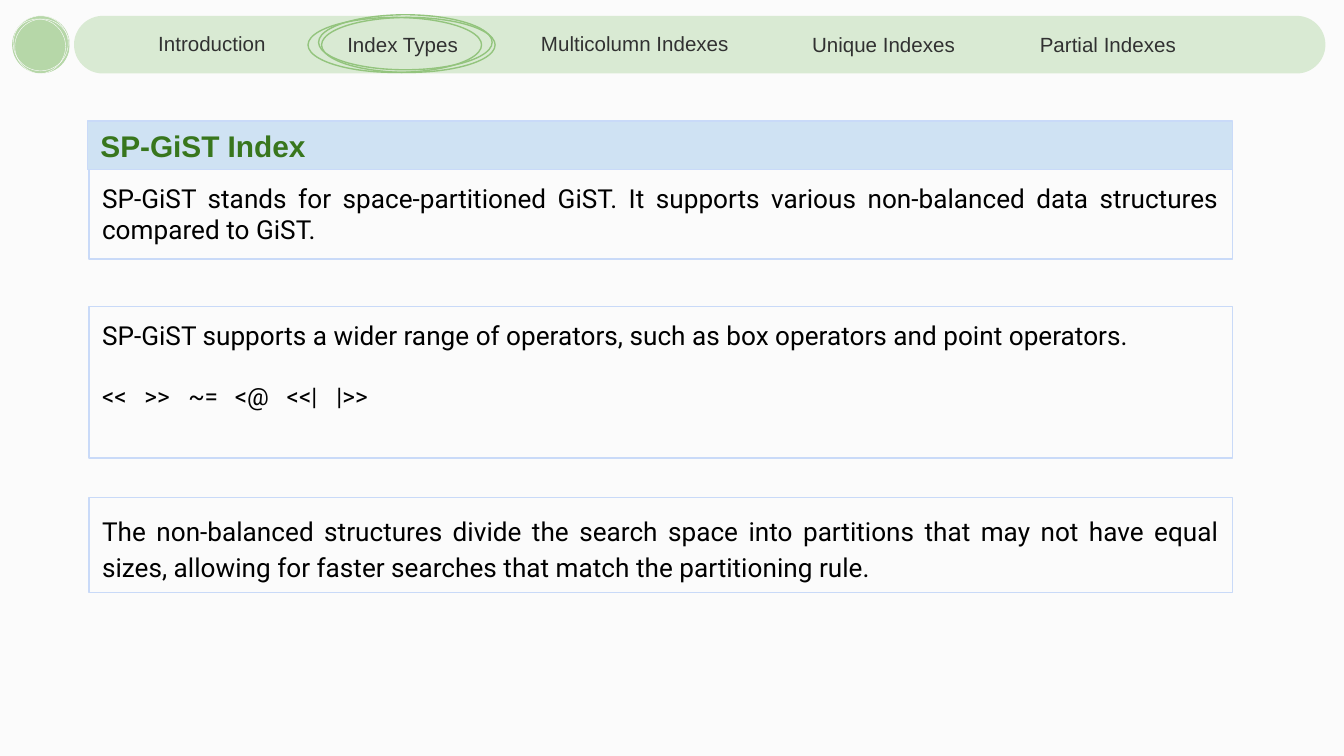
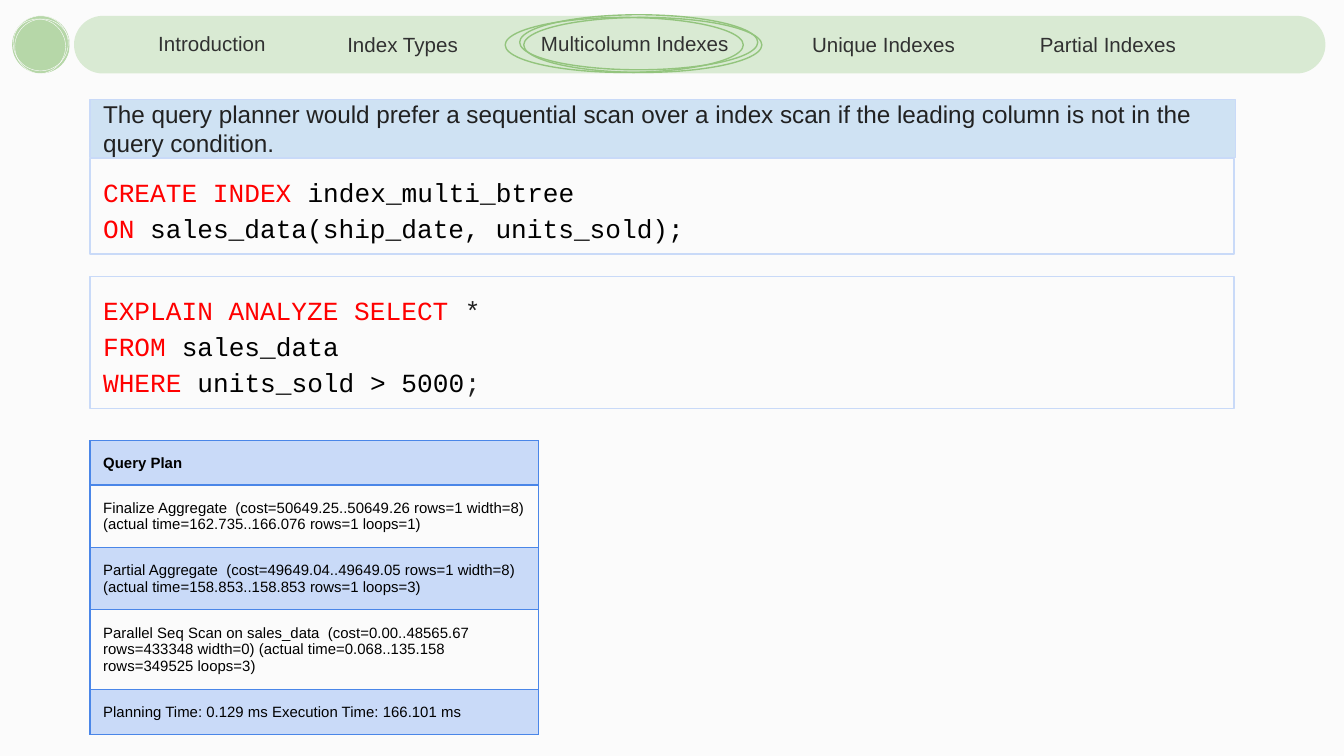
from lxml import etree
from pptx import Presentation
from pptx.dml.color import RGBColor
from pptx.enum.shapes import MSO_SHAPE
from pptx.enum.text import MSO_ANCHOR, PP_ALIGN
from pptx.oxml.ns import qn
from pptx.util import Cm, Pt

PAPER = RGBColor(0xFB, 0xFB, 0xFB)
BAR_GREEN = RGBColor(0xD9, 0xEA, 0xD3)
DOT_GREEN = RGBColor(0xB6, 0xD7, 0xA8)
RING_GREEN = RGBColor(0x93, 0xC4, 0x7D)
TITLE_GREEN = RGBColor(0x38, 0x76, 0x1D)
HEAD_BLUE = RGBColor(0xCF, 0xE2, 0xF3)
PALE_BLUE = RGBColor(0xC9, 0xDA, 0xF8)
GRID_BLUE = RGBColor(0x4A, 0x86, 0xE8)
NAV_GREY = RGBColor(0x31, 0x31, 0x31)
INK = RGBColor(0x21, 0x21, 0x21)
BLACK = RGBColor(0, 0, 0)
RED = RGBColor(0xFF, 0, 0)
INSET = Cm(0.25)

# Navigation entries: left, top, width, alignment
NAV = {
    "Introduction": (2.74, 0.56, 4.04, PP_ALIGN.LEFT),
    "Index Types": (5.97, 0.58, 3.28, PP_ALIGN.CENTER),
    "Multicolumn Indexes": (9.75, 0.56, 4.5, PP_ALIGN.CENTER),
    "Unique Indexes": (14.68, 0.58, 4.04, PP_ALIGN.CENTER),
    "Partial Indexes": (18.92, 0.58, 4.04, PP_ALIGN.CENTER),
}


def add_box(s, x, y, w, h, kind=MSO_SHAPE.RECTANGLE, fill=None, line=None,
            weight=0.75, anchor=MSO_ANCHOR.TOP):
    sp = s.shapes.add_shape(kind, Cm(x), Cm(y), Cm(w), Cm(h))
    sp.shadow.inherit = False
    for part, color in ((sp.fill, fill), (sp.line.fill, line)):
        if color is None:
            part.background()
        else:
            part.solid()
            part.fore_color.rgb = color
    if line is not None:
        sp.line.width = Pt(weight)
    tf = sp.text_frame
    tf.word_wrap = True
    tf.vertical_anchor = anchor
    tf.margin_left = tf.margin_right = tf.margin_top = tf.margin_bottom = INSET
    return sp


def write(p, text, font="Arial", size=14, color=BLACK, bold=False,
          align=PP_ALIGN.LEFT, spacing=None):
    p.alignment = align
    if spacing:
        p.line_spacing = spacing
    r = p.add_run()
    r.text = text
    r.font.name = font
    r.font.size = Pt(size)
    r.font.bold = bold
    r.font.color.rgb = color


prs = Presentation()
prs.slide_width, prs.slide_height = Cm(25.4), Cm(14.29)

# Shared background, navigation bar and marker of the current section
slides = []
for current in ("Index Types", "Multicolumn Indexes"):
    s = prs.slides.add_slide(prs.slide_layouts[6])
    slides.append(s)
    s.background.fill.solid()
    s.background.fill.fore_color.rgb = PAPER

    add_box(s, 0.23, 0.3, 1.09, 1.09, MSO_SHAPE.OVAL, fill=DOT_GREEN)
    for x, y in ((0.25, 0.3), (0.2, 0.36), (0.28, 0.36)):
        add_box(s, x, y, 1.04, 1.04, MSO_SHAPE.OVAL, line=PAPER, weight=0.23)

    bar = add_box(s, 1.4, 0.3, 23.65, 1.09, MSO_SHAPE.ROUNDED_RECTANGLE, fill=BAR_GREEN)
    bar.adjustments[0] = 0.5

    for label, (x, y, w, align) in NAV.items():
        tf = s.shapes.add_textbox(Cm(x), Cm(y), Cm(w), Cm(0.53)).text_frame
        tf.word_wrap = True
        tf.vertical_anchor = MSO_ANCHOR.MIDDLE
        tf.margin_left = tf.margin_right = INSET
        tf.margin_top = tf.margin_bottom = 0
        write(tf.paragraphs[0], label, size=11, color=NAV_GREY, align=align)

    x, _, w, _ = NAV[current]
    for shift, y in ((0.016, 0.28), (-0.045, 0.33), (0.033, 0.33)):
        add_box(s, x + shift * w, y, w, 1.04, MSO_SHAPE.OVAL, line=RING_GREEN)

# Heading bands
for s, x, y, h, text, style in (
    (slides[0], 1.65, 2.29, 0.91, "SP-GiST Index",
     dict(size=16, color=TITLE_GREEN, bold=True)),
    (slides[1], 1.7, 1.88, 1.1,
     "The query planner would prefer a sequential scan over a index scan "
     "if the leading column is not in the query condition.",
     dict(size=13, color=INK)),
):
    sp = add_box(s, x, y, 21.65, h, fill=HEAD_BLUE, line=PALE_BLUE, anchor=MSO_ANCHOR.MIDDLE)
    sp.text_frame.margin_right = 0
    write(sp.text_frame.paragraphs[0], text, **style)

# Slide 1: explanations
for y, h, spacing, text in (
    (3.2, 1.7, None,
     "SP-GiST stands for space-partitioned GiST. It supports various "
     "non-balanced data structures compared to GiST."),
    (9.4, 1.8, 1.15,
     "The non-balanced structures divide the search space into partitions that may "
     "not have equal sizes, allowing for faster searches that match the partitioning rule."),
    (5.79, 2.87, None,
     "SP-GiST supports a wider range of operators, such as box operators and point operators."),
):
    tf = add_box(slides[0], 1.68, y, 21.62, h, line=PALE_BLUE).text_frame
    write(tf.paragraphs[0], text, font="Roboto", align=PP_ALIGN.JUSTIFY, spacing=spacing)

# Operators go below the last explanation, on tab stops
p = tf.add_paragraph()
p.space_before = Pt(16.4)
tabs = etree.SubElement(p._p.get_or_add_pPr(), qn("a:tabLst"))
for stop in (0.8, 1.63, 2.51, 3.49, 4.43):
    etree.SubElement(tabs, qn("a:tab"), pos=str(Cm(stop)), algn="l")
write(p, "\t".join(("<<", ">>", "~=", "<@", "<<|", "|>>")), font="Roboto", size=13)

# Slide 2: SQL statements
for y, h, code in (
    (3.0, 1.8, (
        (("CREATE INDEX", RED), (" index_multi_btree", BLACK)),
        (("ON", RED), (" sales_data(ship_date, units_sold);", BLACK)),
    )),
    (5.23, 2.49, (
        (("EXPLAIN ANALYZE SELECT ", RED), ("*", INK)),
        (("FROM ", RED), ("sales_data", BLACK)),
        (("WHERE ", RED), ("units_sold > 5000", BLACK), (";", INK)),
    )),
):
    tf = add_box(slides[1], 1.7, y, 21.62, h, line=PALE_BLUE).text_frame
    for i, row in enumerate(code):
        p = tf.add_paragraph() if i else tf.paragraphs[0]
        for text, color in row:
            write(p, text, font="Courier New", color=color,
                  align=PP_ALIGN.JUSTIFY, spacing=1.15)

# Slide 2: query plan
plan = (
    (0.71, "Query Plan"),
    (0.76, "Finalize Aggregate  (cost=50649.25..50649.26 rows=1 width=8) "
           "(actual time=162.735..166.076 rows=1 loops=1)"),
    (1.09, "Partial Aggregate  (cost=49649.04..49649.05 rows=1 width=8) "
           "(actual time=158.853..158.853 rows=1 loops=3)"),
    (1.45, "Parallel Seq Scan on sales_data  (cost=0.00..48565.67 rows=433348 width=0) "
           "(actual time=0.068..135.158 rows=349525 loops=3)"),
    (0.71, "Planning Time: 0.129 ms Execution Time: 166.101 ms"),
)
table = slides[1].shapes.add_table(
    len(plan), 1, Cm(1.7), Cm(8.33), Cm(8.48), Cm(sum(h for h, _ in plan))).table
table.first_row = table.horz_banding = False
for i, (h, text) in enumerate(plan):
    table.rows[i].height = Cm(h)
    cell = table.cell(i, 0)
    cell.vertical_anchor = MSO_ANCHOR.MIDDLE
    cell.margin_left = cell.margin_right = cell.margin_top = cell.margin_bottom = INSET
    for side in ("lnL", "lnR", "lnT", "lnB"):
        ln = etree.SubElement(cell._tc.get_or_add_tcPr(), qn("a:" + side), w=str(Pt(0.75)))
        etree.SubElement(etree.SubElement(ln, qn("a:solidFill")), qn("a:srgbClr"),
                         val=str(GRID_BLUE))
    if i % 2:
        cell.fill.background()
    else:
        cell.fill.solid()
        cell.fill.fore_color.rgb = PALE_BLUE
    write(cell.text_frame.paragraphs[0], text, size=8, bold=i == 0)

prs.save("out.pptx")
